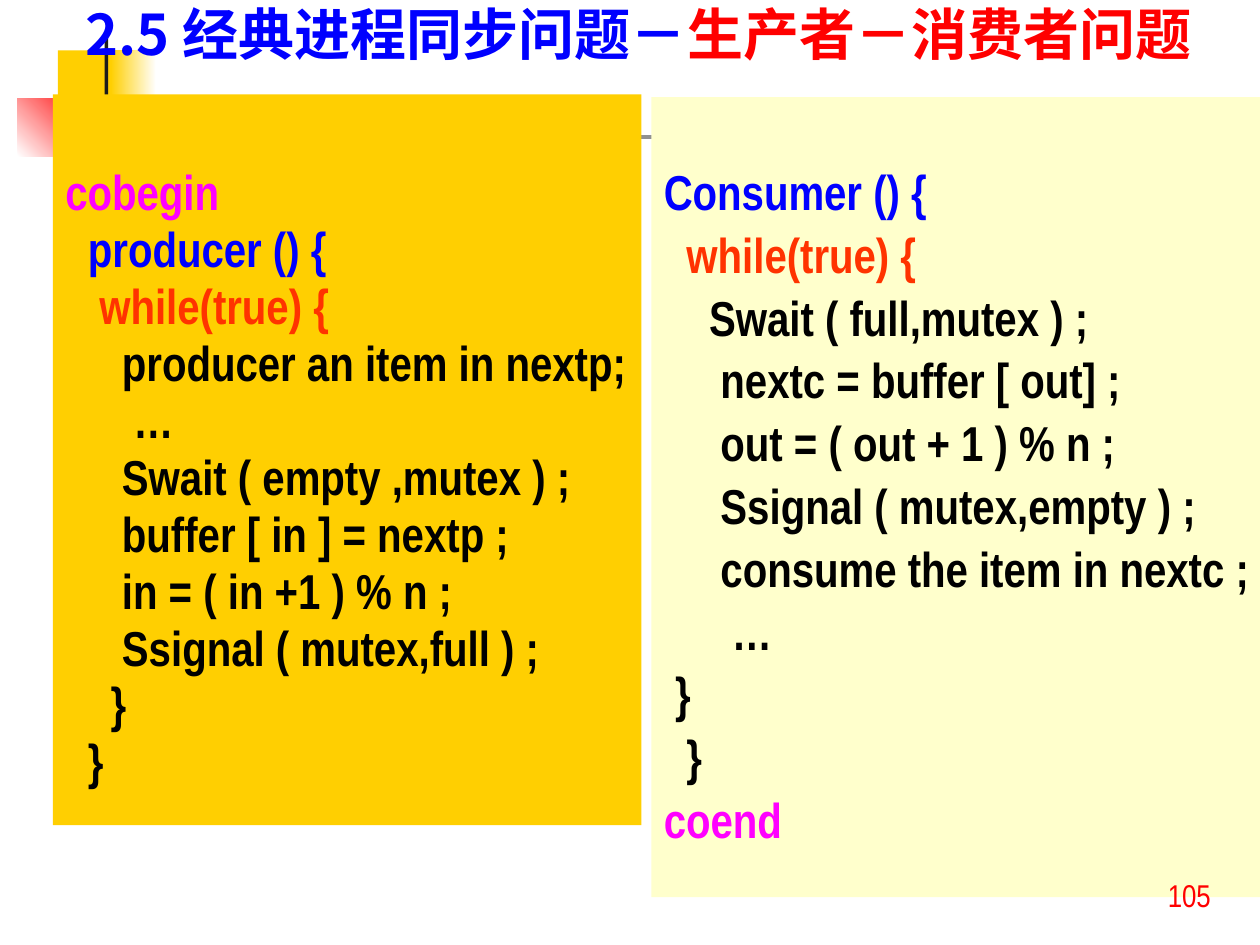
from pptx import Presentation
from pptx.dml.color import RGBColor
from pptx.enum.shapes import MSO_SHAPE as Shape
from pptx.enum.text import MSO_ANCHOR as Anchor, PP_ALIGN as Align
from pptx.util import Inches, Pt

GOLD, CREAM, WHITE, DARK = "FFCF01", "FFFFCC", "FFFFFF", "1C1C1C"
BLUE, RED, ORANGE, MAGENTA, BLACK = "0000FF", "FF0000", "FF3300", "FF00FF", "000000"
SPACE = 0.09  # indent per code column, inches

# Code lines: indent in columns, text, colour
PRODUCER = [
    (0, "cobegin", MAGENTA),
    (2, "producer () {", BLUE),
    (3, "while(true) {", ORANGE),
    (5, "producer an item in nextp;", BLACK),
    (6, "…", BLACK),
    (5, "Swait ( empty ,mutex ) ;", BLACK),
    (5, "buffer [ in ] = nextp ;", BLACK),
    (5, "in = ( in +1 ) % n ;", BLACK),
    (5, "Ssignal ( mutex,full ) ;", BLACK),
    (4, "}", BLACK),
    (2, "}", BLACK),
]
CONSUMER = [
    (0, "Consumer () {", BLUE),
    (2, "while(true) {", ORANGE),
    (4, "Swait ( full,mutex ) ;", BLACK),
    (5, "nextc = buffer [ out] ;", BLACK),
    (5, "out = ( out + 1 ) % n ;", BLACK),
    (5, "Ssignal ( mutex,empty ) ;", BLACK),
    (5, "consume the item in nextc ;", BLACK),
    (6, "…", BLACK),
    (1, "}", BLACK),
    (2, "}", BLACK),
    (0, "coend", MAGENTA),
]


def color(value):
    return RGBColor.from_string(value)


def set_values(target, values):
    for name, value in values.items():
        setattr(target, name, value)


def add_block(slide, box, start, end=None, angle=0):
    """Rectangle with a solid fill, or a gradient when end is given."""
    shape = slide.shapes.add_shape(Shape.RECTANGLE, *map(Inches, box))
    shape.shadow.inherit = False
    shape.line.fill.background()
    if end is None:
        shape.fill.solid()
        shape.fill.fore_color.rgb = color(start)
    else:
        shape.fill.gradient()
        shape.fill.gradient_angle = angle
        for stop, value in zip(shape.fill.gradient_stops, (start, end)):
            stop.color.rgb = color(value)
    return shape


def add_run(paragraph, text, size, font, value, bold=True):
    run = paragraph.add_run()
    run.text = text
    set_values(run.font, {"size": Pt(size), "name": font, "bold": bold})
    run.font.color.rgb = color(value)
    properties = run._r.get_or_add_rPr()
    east_asian = properties.makeelement(
        "{http://schemas.openxmlformats.org/drawingml/2006/main}ea", {"typeface": font})
    properties.find("{*}latin").addnext(east_asian)


def add_ornament(slide, left, top):
    """Overlapping colour blocks and crossing rules behind the content."""
    add_block(slide, (left + 0.32, top + 0.12, 0.48, 0.52), GOLD)
    add_block(slide, (left + 0.74, top + 0.12, 0.36, 0.52), GOLD, WHITE)
    add_block(slide, (left, top + 0.5, 0.61, 0.46), WHITE, RED, 45)
    add_block(slide, (left + 0.69, top, 0.03, 1.15), DARK)
    add_block(slide, (left + 0.37, top + 0.79, 9, 0.03), DARK, WHITE)


def add_code_panel(slide, box, fill, lines, inset, pitch):
    frame = add_block(slide, box, fill).text_frame
    set_values(frame, {"word_wrap": True, "vertical_anchor": Anchor.TOP,
                       "margin_top": Inches(inset), "margin_right": 0})
    for index, (columns, text, value) in enumerate(lines):
        paragraph = frame.add_paragraph() if index else frame.paragraphs[0]
        set_values(paragraph, {"alignment": Align.LEFT, "line_spacing": Pt(pitch)})
        paragraph._p.get_or_add_pPr().set("marL", str(Inches(columns * SPACE)))
        add_run(paragraph, text, 28, "Arial Narrow", value)


def add_label(slide, box, anchor):
    frame = slide.shapes.add_textbox(*map(Inches, box)).text_frame
    set_values(frame, {"word_wrap": True, "vertical_anchor": anchor})
    return frame.paragraphs[0]


def add_title(slide, box):
    paragraph = add_label(slide, box, Anchor.BOTTOM)
    for text, value in (("2.5 经典进程同步问题－", BLUE), ("生产者－消费者问题", RED)):
        add_run(paragraph, text, 32, "Noto Sans CJK SC", value)


def add_page_number(slide, box):
    paragraph = add_label(slide, box, Anchor.TOP)
    add_run(paragraph, "105", 18, "Arial Narrow", RED, bold=False)


def main():
    presentation = Presentation()
    set_values(presentation, {"slide_width": Inches(10), "slide_height": Inches(7.5)})
    slide = presentation.slides.add_slide(presentation.slide_layouts[6])
    add_ornament(slide, 0.14, 0.28)
    add_code_panel(slide, (0.42, 0.75, 4.67, 5.8), GOLD, PRODUCER, 0.55, 32.5)
    add_code_panel(slide, (5.17, 0.77, 4.83, 6.35), CREAM, CONSUMER, 0.48, 35.9)
    add_title(slide, (0.58, 0, 9.42, 0.58))
    add_page_number(slide, (9.17, 6.9, 0.63, 0.39))
    presentation.save("out.pptx")


if __name__ == "__main__":
    main()
